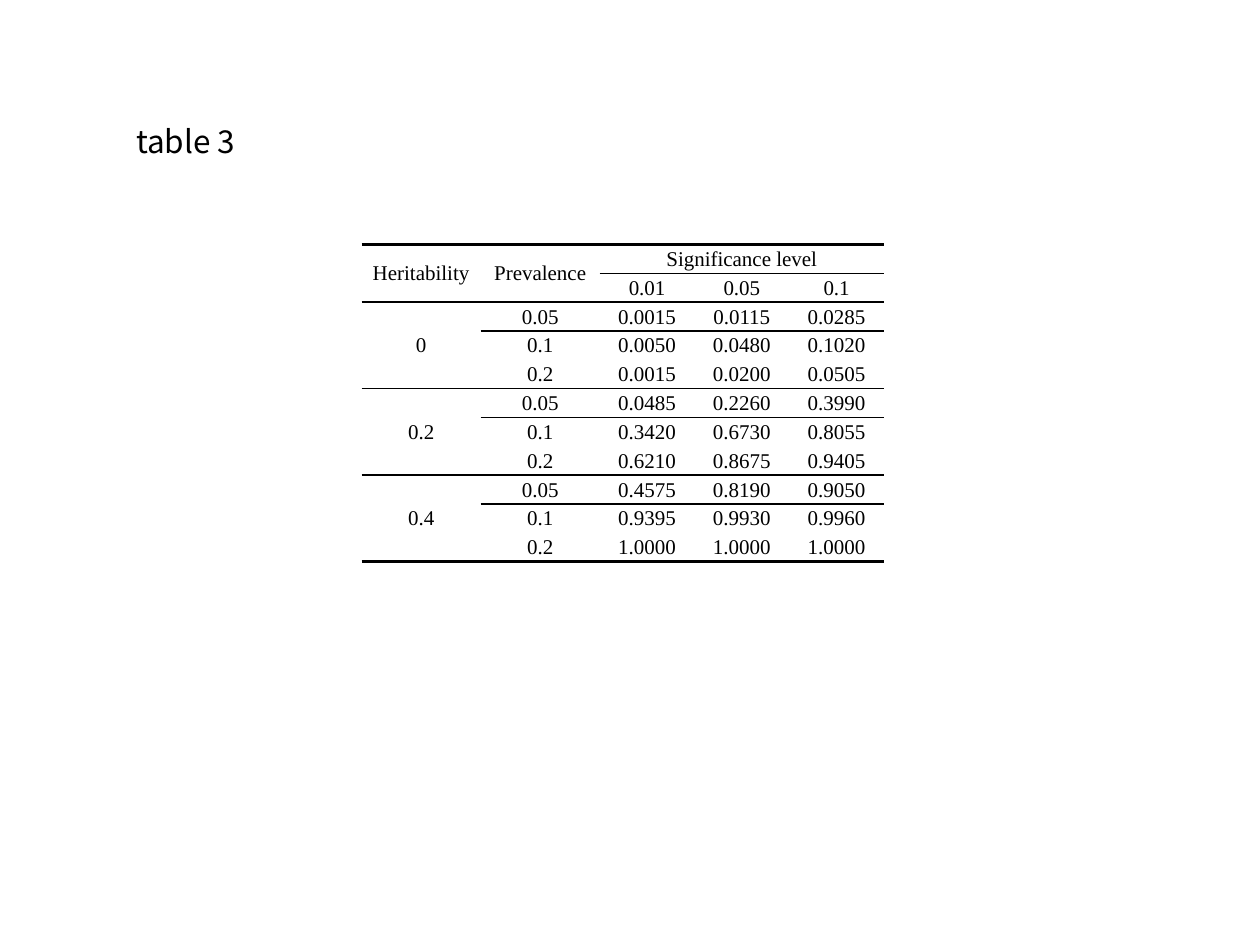
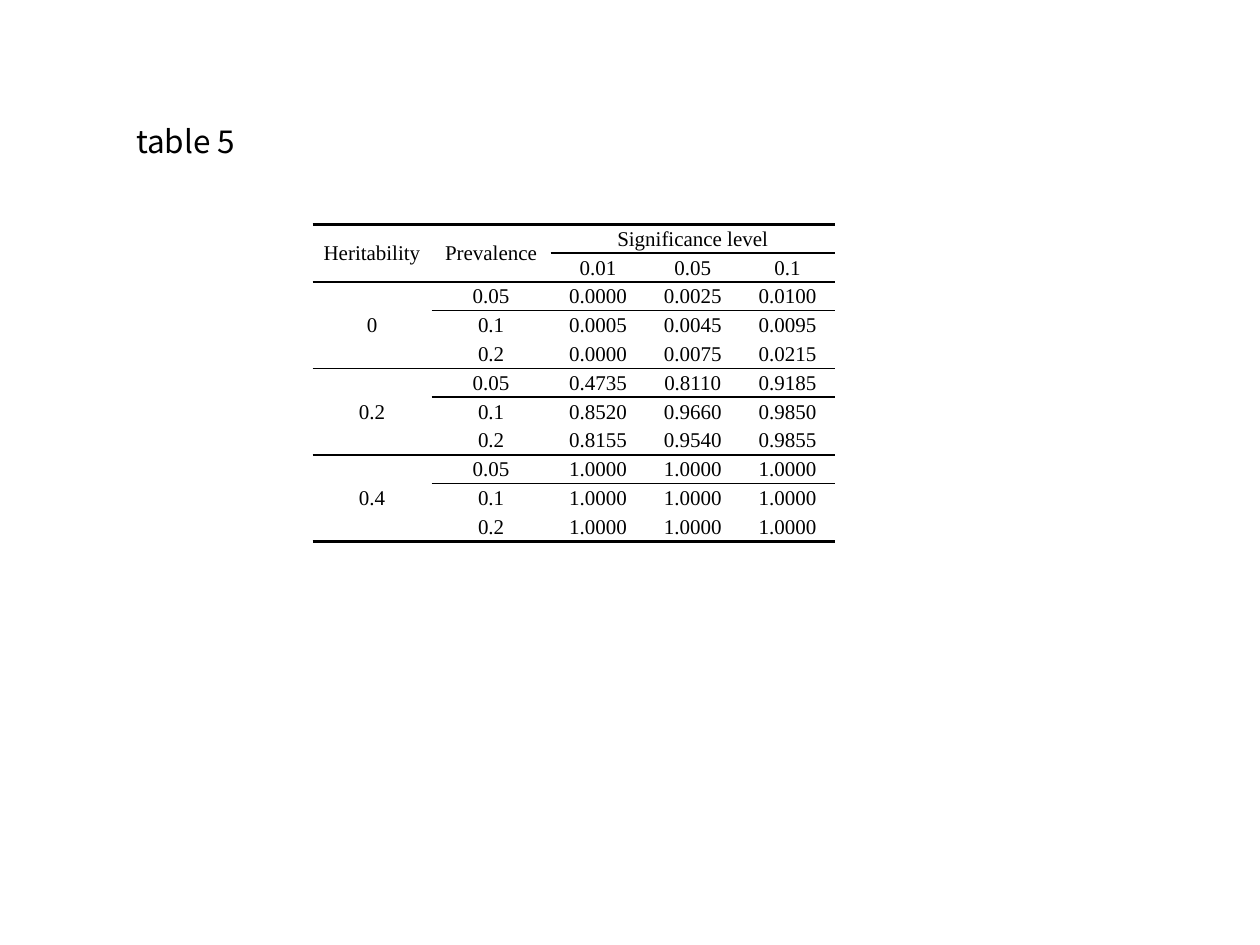
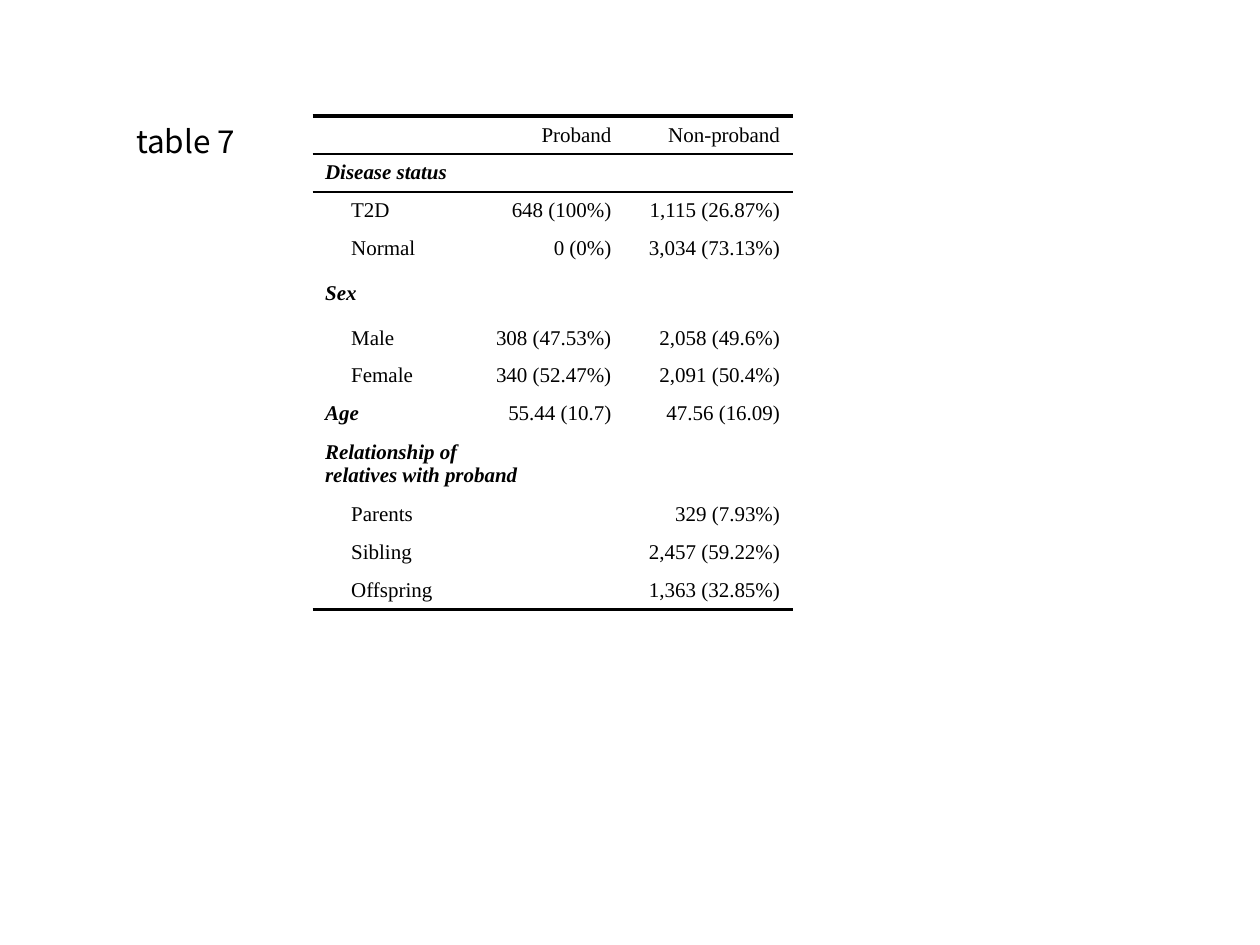
from lxml import etree
from pptx import Presentation
from pptx.dml.color import RGBColor
from pptx.enum import text
from pptx.oxml import ns
from pptx.util import Cm, Pt

BLACK = RGBColor(0, 0, 0)
TITLE_FONT = "Noto Sans CJK KR"
TABLE_FONT = "Times New Roman"
NO_STYLE = "{2D5ABB26-0587-4C30-8999-92F81FD0307C}"
THICK, THIN = 2.25, 1
TEXT_SIZE = Pt(12)

HERITABILITIES = ["0", "0.2", "0.4"]
PREVALENCES = ["0.05", "0.1", "0.2"]
LEVELS = ["0.01", "0.05", "0.1"]

# title, table left and top in cm, one row of rates per heritability and prevalence
POWER_TABLES = [
    ("table 3", 7.29, 4.93, [
        "0.0015 0.0115 0.0285",
        "0.0050 0.0480 0.1020",
        "0.0015 0.0200 0.0505",
        "0.0485 0.2260 0.3990",
        "0.3420 0.6730 0.8055",
        "0.6210 0.8675 0.9405",
        "0.4575 0.8190 0.9050",
        "0.9395 0.9930 0.9960",
        "1.0000 1.0000 1.0000"]),
    ("table 5", 6.3, 4.52, [
        "0.0000 0.0025 0.0100",
        "0.0005 0.0045 0.0095",
        "0.0000 0.0075 0.0215",
        "0.4735 0.8110 0.9185",
        "0.8520 0.9660 0.9850",
        "0.8155 0.9540 0.9855",
        "1.0000 1.0000 1.0000",
        "1.0000 1.0000 1.0000",
        "1.0000 1.0000 1.0000"]),
]

COHORT = [
    ("", "Proband", "Non-proband"),
    ("Disease status", "", ""),
    ("T2D", "648 (100%)", "1,115 (26.87%)"),
    ("Normal", "0 (0%)", "3,034 (73.13%)"),
    ("Sex", "", ""),
    ("Male", "308 (47.53%)", "2,058 (49.6%)"),
    ("Female", "340 (52.47%)", "2,091 (50.4%)"),
    ("Age", "55.44 (10.7)", "47.56 (16.09)"),
    ("Relationship of\vrelatives with proband", "", ""),
    ("Parents", "", "329 (7.93%)"),
    ("Sibling", "", "2,457 (59.22%)"),
    ("Offspring", "", "1,363 (32.85%)"),
]
HEADING_ROWS = {1, 4, 7, 8}


def add_titled_table(title, rows, left, top, widths, height):
    """Add a slide with its title and a plain, filled-in table; return the table."""
    s = prs.slides.add_slide(prs.slide_layouts[5])
    sp = s.shapes.title
    sp.left, sp.top, sp.width, sp.height = Cm(2.49), Cm(2.34), Cm(2.54), Cm(1.02)
    tf = sp.text_frame
    tf.text = title
    tf.word_wrap = False
    tf.auto_size = text.MSO_AUTO_SIZE.SHAPE_TO_FIT_TEXT
    tf.vertical_anchor = text.MSO_ANCHOR.TOP
    p = tf.paragraphs[0]
    p.alignment = text.PP_ALIGN.LEFT
    f = p.runs[0].font
    f.name, f.size, f.color.rgb = TITLE_FONT, Pt(18), BLACK

    tbl = s.shapes.add_table(len(rows), len(widths), Cm(left), Cm(top),
                             Cm(sum(widths)), Cm(height)).table
    tbl.first_row = tbl.horz_banding = False
    tbl._tbl.tblPr.find(ns.qn("a:tableStyleId")).text = NO_STYLE
    for column, width in zip(tbl.columns, widths):
        column.width = Cm(width)
    for r, row in enumerate(rows):
        for c, value in enumerate(row):
            cell = tbl.cell(r, c)
            cell.text = value
            cell.vertical_anchor = text.MSO_ANCHOR.MIDDLE
            cell.fill.background()
            p = cell.text_frame.paragraphs[0]
            for run in p.runs:
                f = run.font
                f.name, f.size, f.color.rgb = TABLE_FONT, TEXT_SIZE, BLACK
            if not value:
                etree.SubElement(p._p, ns.qn("a:endParaRPr"), sz="1200")
    return tbl


def add_border(cell, edge, points):
    """Draw one edge of a cell; draw "lnT" before "lnB"."""
    tc_pr = cell._tc.get_or_add_tcPr()
    ln = etree.Element(ns.qn("a:" + edge), w=str(Pt(points)))
    fill = etree.SubElement(ln, ns.qn("a:solidFill"))
    etree.SubElement(fill, ns.qn("a:srgbClr"), val=str(BLACK))
    tc_pr.insert(len(tc_pr) - 1, ln)  # the fill stays last


prs = Presentation()
prs.slide_width, prs.slide_height = Cm(25.4), Cm(19.05)

for title, left, top, rates in POWER_TABLES:
    rows = [["Heritability", "Prevalence", "Significance level", "", ""],
            ["", ""] + LEVELS]
    for i, line in enumerate(rates):
        group, member = divmod(i, 3)
        label = HERITABILITIES[group] if member == 0 else ""
        rows.append([label, PREVALENCES[member]] + line.split())
    tbl = add_titled_table(title, rows, left, top, [2.4, 2.4, 1.91, 1.91, 1.91], 6.4)

    for r in range(len(rows)):
        for c in range(5):
            cell = tbl.cell(r, c)
            cell.margin_left = cell.margin_right = cell.margin_top = Cm(0.02)
            cell.margin_bottom = 0
            cell.text_frame.paragraphs[0].alignment = text.PP_ALIGN.CENTER
            if r == 0:
                add_border(cell, "lnT", THICK)
            elif r in (2, 5, 8) or (r == 1 and c > 1):
                add_border(cell, "lnT", THIN)
            if r == 10 or (r == 8 and c == 0):
                add_border(cell, "lnB", THICK)
            elif r in (1, 4, 7) or (r == 0 and c > 1):
                add_border(cell, "lnB", THIN)

    tbl.cell(0, 2).merge(tbl.cell(0, 4))
    for c in (0, 1):
        tbl.cell(0, c).merge(tbl.cell(1, c))
    for r in (2, 5, 8):
        tbl.cell(r, 0).merge(tbl.cell(r + 2, 0))

tbl = add_titled_table("table 7", COHORT, 6.3, 2.34, [3.28, 3, 3.4], 9.9)
for r, row in enumerate(tbl.rows):
    row.height = Cm({4: 1.04, 8: 1.27}.get(r, 0.76))
    for c in range(3):
        cell = tbl.cell(r, c)
        p = cell.text_frame.paragraphs[0]
        if c > 0:
            p.alignment = text.PP_ALIGN.RIGHT
        elif r in HEADING_ROWS:
            for run in p.runs:
                run.font.bold = run.font.italic = True
        else:
            cell.margin_left = Cm(0.78)
        if r < 2:
            add_border(cell, "lnT", THIN if r else THICK)
        if r in (0, 11):
            add_border(cell, "lnB", THICK if r else THIN)
tbl.cell(8, 0).merge(tbl.cell(8, 1))

prs.save("out.pptx")
